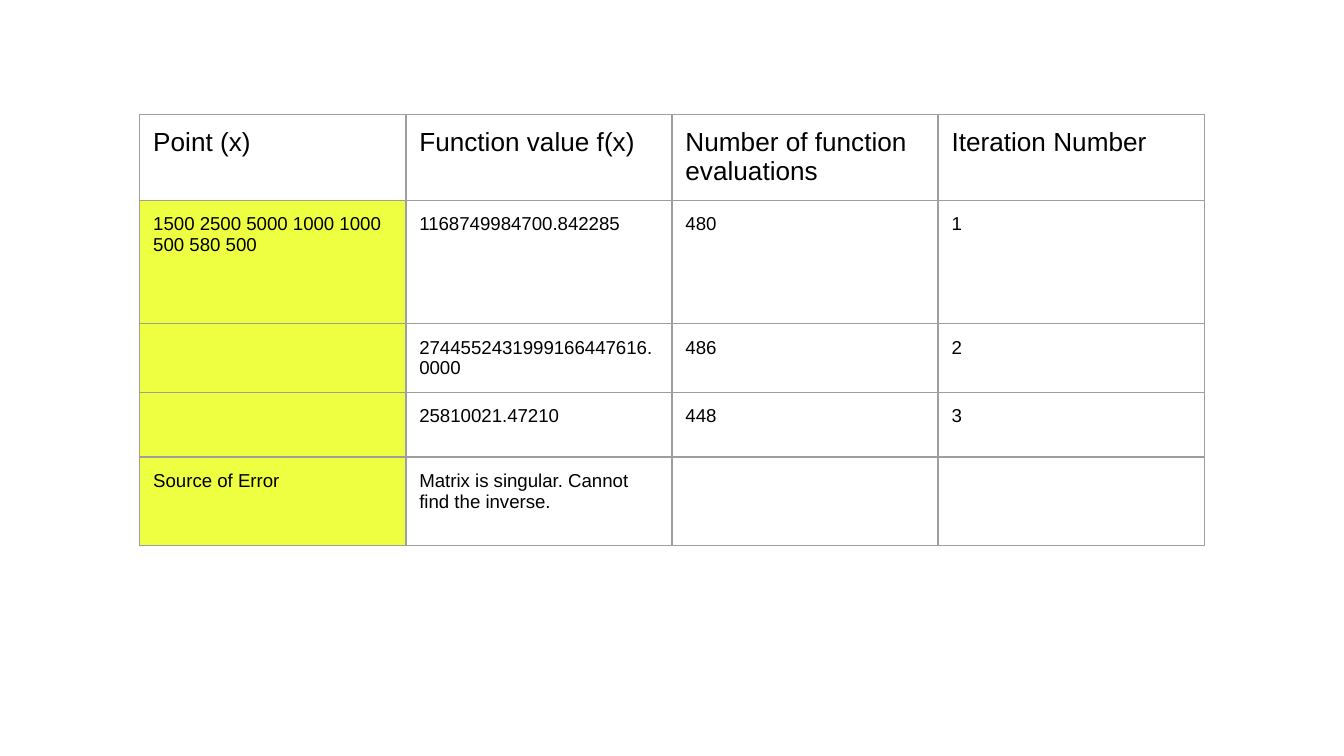
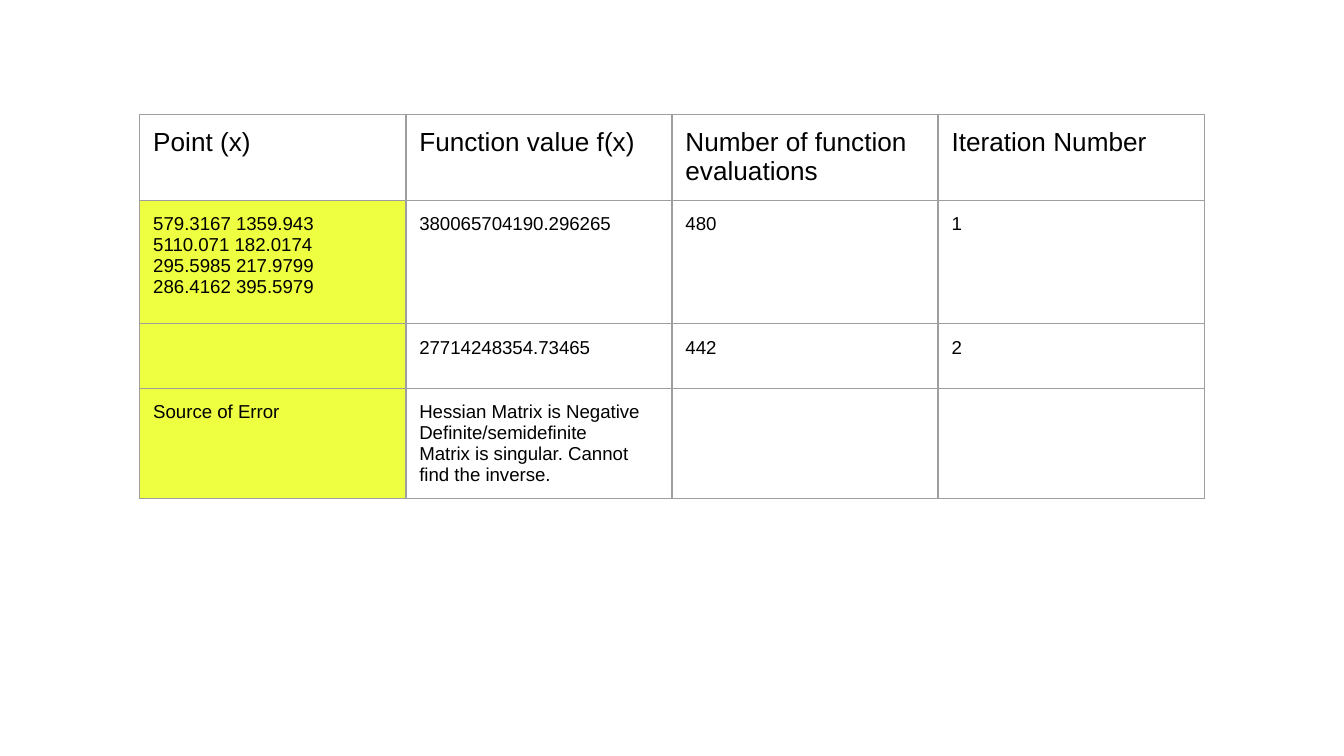
from pptx import Presentation
from pptx.dml.color import RGBColor as Rgb
from pptx.oxml.ns import qn
from pptx.util import Inches, Pt
from lxml.etree import SubElement as Sub

HUES = {"ink": "000000", "line": "9E9E9E", "mark": "EEFF41"}
FONT = "Arial"
WIDE = 10
HIGH = WIDE * 9 / 16
BOX = (1.04, 0.85, 7.92)
PAD = Inches(0.1)
HEAD = ["Point (x)", "Function value f(x)",
        "Number of function evaluations", "Iteration Number"]
SINGULAR = "Matrix is singular. Cannot find the inverse."
RUNS = [
    ([0.64, 0.92, 0.51, 0.48, 0.66], [
        ["1500 2500 5000 1000 1000 500 580 500", "1168749984700.842285", "480", "1"],
        ["", "2744552431999166447616.0000", "486", "2"],
        ["", "25810021.47210", "448", "3"],
        ["Source of Error", SINGULAR, "", ""],
    ]),
    ([0.64, 0.92, 0.48, 0.82], [
        ["579.3167 1359.943 5110.071 182.0174 295.5985 217.9799 286.4162 395.5979",
         "380065704190.296265", "480", "1"],
        ["", "27714248354.73465", "442", "2"],
        ["Source of Error",
         "Hessian Matrix is Negative Definite/semidefinite\n" + SINGULAR, "", ""],
    ]),
]


def write(frame, text, size=10, hue="ink"):
    frame.text = text
    for para in frame.paragraphs:
        for run in para.runs:
            font = run.font
            font.name, font.size = FONT, Pt(size)
            font.color.rgb = Rgb.from_string(HUES[hue])
        if not para.runs:
            Sub(para._p, qn("a:endParaRPr"), sz=str(size * 100))


def edge(cell, width=0.75):
    props = cell._tc.get_or_add_tcPr()
    for side in "LRTB":
        line = Sub(props, qn(f"a:ln{side}"), w=str(Pt(width)))
        Sub(Sub(line, qn("a:solidFill")), qn("a:srgbClr"), val=HUES["line"])


def paint(cell, marked):
    edge(cell)
    if marked:
        cell.fill.solid()
        cell.fill.fore_color.rgb = Rgb.from_string(HUES["mark"])
    else:
        cell.fill.background()


def draw_grid(slide, box, highs, rows):
    left, top, width = box
    count = len(HEAD)
    grid = slide.shapes.add_table(
        len(rows), count, Inches(left), Inches(top),
        Inches(width), Inches(sum(highs))).table
    grid.first_row = grid.horz_banding = False
    for col in grid.columns:
        col.width = Inches(width / count)
    for r, (high, row) in enumerate(zip(highs, rows)):
        grid.rows[r].height = Inches(high)
        for c, text in enumerate(row):
            cell = grid.cell(r, c)
            cell.margin_left = cell.margin_right = PAD
            cell.margin_top = cell.margin_bottom = PAD
            paint(cell, marked=r > 0 and c == 0)
            write(cell.text_frame, text, size=10 if r else 14)


def main():
    deck = Presentation()
    deck.slide_width, deck.slide_height = Inches(WIDE), Inches(HIGH)
    for highs, rows in RUNS:
        slide = deck.slides.add_slide(deck.slide_layouts[6])
        draw_grid(slide, BOX, highs, [HEAD] + rows)
    deck.save("out.pptx")


if __name__ == "__main__":
    main()
